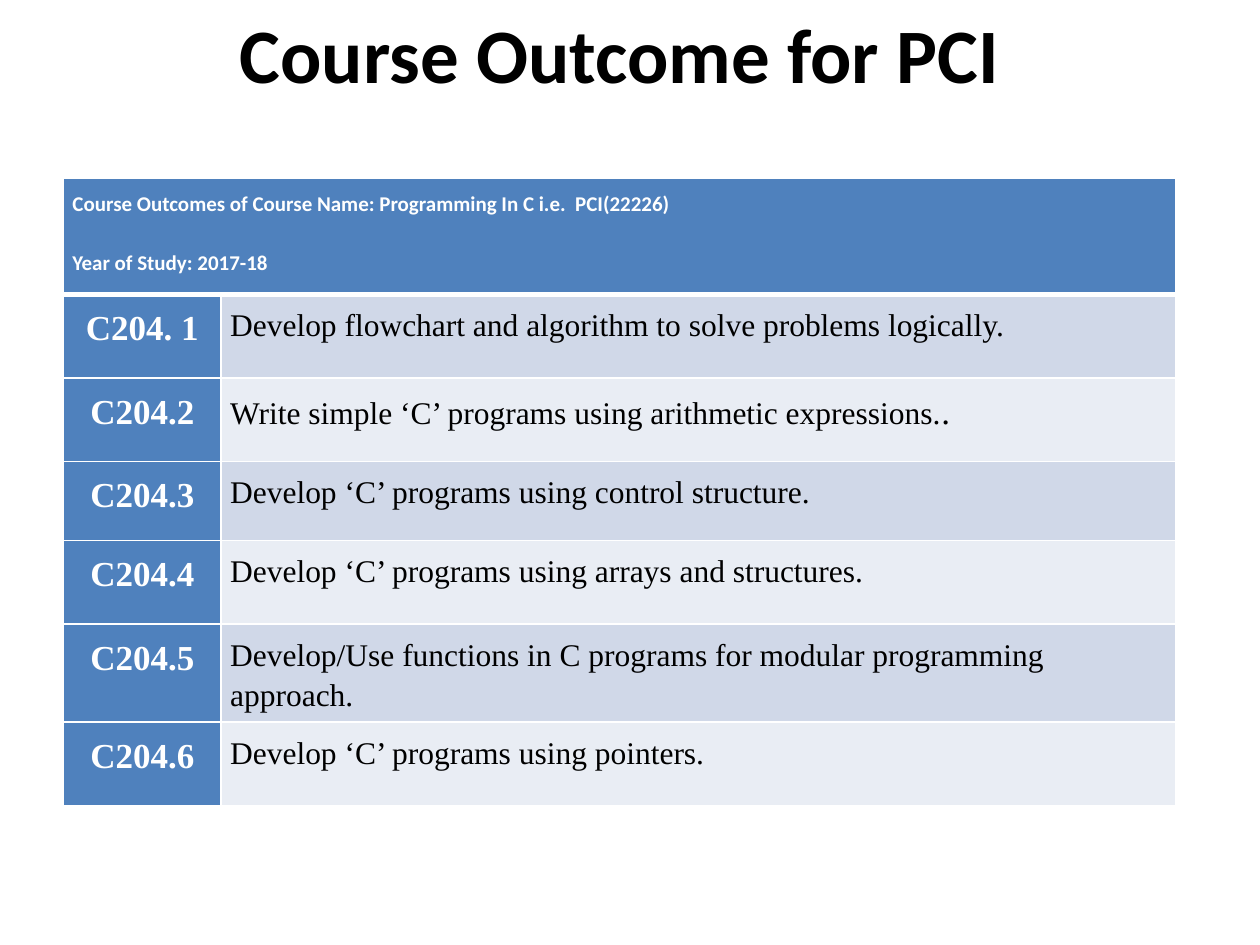
from dataclasses import dataclass

from lxml import etree
from pptx import Presentation
from pptx import util as u
from pptx.dml.color import RGBColor
from pptx.enum import text
from pptx.oxml.ns import qn

COLORS = {
    "blue": "4F81BD",
    "odd": "D0D8E8",
    "even": "E9EDF4",
    "white": "FFFFFF",
    "black": "000000",
}
SERIF = "Times New Roman"
SANS = "Calibri"


@dataclass
class Style:
    font: str
    size: float
    color: str
    bold: bool = False


@dataclass
class Outcome:
    code: str
    goal: str
    height: float = 1.68
    tail: str = ""


TITLE = Style(SANS, 44, "black", True)
HEADER = Style(SANS, 12, "white", True)
CODE = Style(SERIF, 20, "white", True)
GOAL = Style(SERIF, 18, "black")
TAIL = Style(SERIF, 20, "black")

HEADER_HEIGHT = 2.34
COLUMN_WIDTHS = (3.18, 19.25)
HEADER_LINES = (
    "Course Outcomes of Course Name: Programming In C i.e.  PCI(22226)",
    "Year of Study: 2017-18",
)
OUTCOMES = (
    Outcome("C204. 1", "Develop flowchart and algorithm to solve problems logically."),
    Outcome("C204.2", "Write simple ‘C’ programs using arithmetic expressions.", tail="."),
    Outcome("C204.3", "Develop ‘C’ programs using control structure.", 1.6),
    Outcome("C204.4", "Develop ‘C’ programs using arrays and structures."),
    Outcome("C204.5", "Develop/Use functions in C programs for modular programming approach."),
    Outcome("C204.6", "Develop ‘C’ programs using pointers."),
)


def add_run(p, words: str, style: Style) -> None:
    r = p.add_run()
    r.text = words
    r.font.name = style.font
    r.font.size = u.Pt(style.size)
    r.font.bold = style.bold
    r.font.color.rgb = RGBColor.from_string(COLORS[style.color])


def set_borders(cell, top: float = 1, bottom: float = 1) -> None:
    tcPr = cell._tc.get_or_add_tcPr()
    for side, width in (("lnL", 1), ("lnR", 1), ("lnT", top), ("lnB", bottom)):
        ln = etree.SubElement(tcPr, qn(f"a:{side}"), w=str(u.Pt(width)))
        fill = etree.SubElement(ln, qn("a:solidFill"))
        etree.SubElement(fill, qn("a:srgbClr"), val=COLORS["white"])


def format_cell(cell, color: str, top: float = 1, bottom: float = 1) -> None:
    set_borders(cell, top, bottom)
    cell.fill.solid()
    cell.fill.fore_color.rgb = RGBColor.from_string(COLORS[color])
    cell.margin_left = cell.margin_right = u.Cm(0.18)
    cell.margin_top = cell.margin_bottom = u.Cm(0.18)
    cell.vertical_anchor = text.MSO_ANCHOR.TOP


def format_paragraph(p, align) -> None:
    p.alignment = align
    p.line_spacing = 1.15


def add_title(s, words: str) -> None:
    sp = s.shapes.title
    sp.left, sp.top, sp.width, sp.height = u.Cm(1.7), u.Cm(0), u.Cm(21.59), u.Cm(2.11)
    tf = sp.text_frame
    tf.vertical_anchor = text.MSO_ANCHOR.MIDDLE
    p = tf.paragraphs[0]
    p.alignment = text.PP_ALIGN.CENTER
    add_run(p, words, TITLE)


def fill_header(table) -> None:
    for cell in table.rows[0].cells:
        format_cell(cell, "blue", bottom=3)
    table.cell(0, 0).merge(table.cell(0, 1))
    tf = table.cell(0, 0).text_frame
    for i, line in enumerate(HEADER_LINES):
        p = tf.add_paragraph() if i else tf.paragraphs[0]
        format_paragraph(p, text.PP_ALIGN.JUSTIFY)
        p.space_before = u.Pt(17 if i else 0)
        add_run(p, line, HEADER)


def fill_outcome(table, row: int, outcome: Outcome) -> None:
    table.rows[row].height = u.Cm(outcome.height)
    code, goal = table.rows[row].cells
    top = 3 if row == 1 else 1
    format_cell(code, "blue", top)
    format_cell(goal, "odd" if row % 2 else "even", top)
    p = code.text_frame.paragraphs[0]
    format_paragraph(p, text.PP_ALIGN.CENTER)
    add_run(p, outcome.code, CODE)
    p = goal.text_frame.paragraphs[0]
    format_paragraph(p, text.PP_ALIGN.LEFT)
    add_run(p, outcome.goal, GOAL)
    if outcome.tail:
        add_run(p, outcome.tail, TAIL)


def add_outcome_table(s) -> None:
    height = HEADER_HEIGHT + sum(o.height for o in OUTCOMES)
    table = s.shapes.add_table(
        len(OUTCOMES) + 1, len(COLUMN_WIDTHS),
        u.Cm(1.28), u.Cm(3.6), u.Cm(sum(COLUMN_WIDTHS)), u.Cm(height),
    ).table
    for column, width in zip(table.columns, COLUMN_WIDTHS):
        column.width = u.Cm(width)
    table.rows[0].height = u.Cm(HEADER_HEIGHT)
    fill_header(table)
    for row, outcome in enumerate(OUTCOMES, 1):
        fill_outcome(table, row, outcome)


def main() -> None:
    prs = Presentation()
    prs.slide_width, prs.slide_height = u.Cm(25.4), u.Cm(19.05)
    s = prs.slides.add_slide(prs.slide_layouts[0])
    subtitle = s.placeholders[1].element
    subtitle.getparent().remove(subtitle)
    add_title(s, "Course Outcome for PCI")
    add_outcome_table(s)
    prs.save("out.pptx")


if __name__ == "__main__":
    main()
